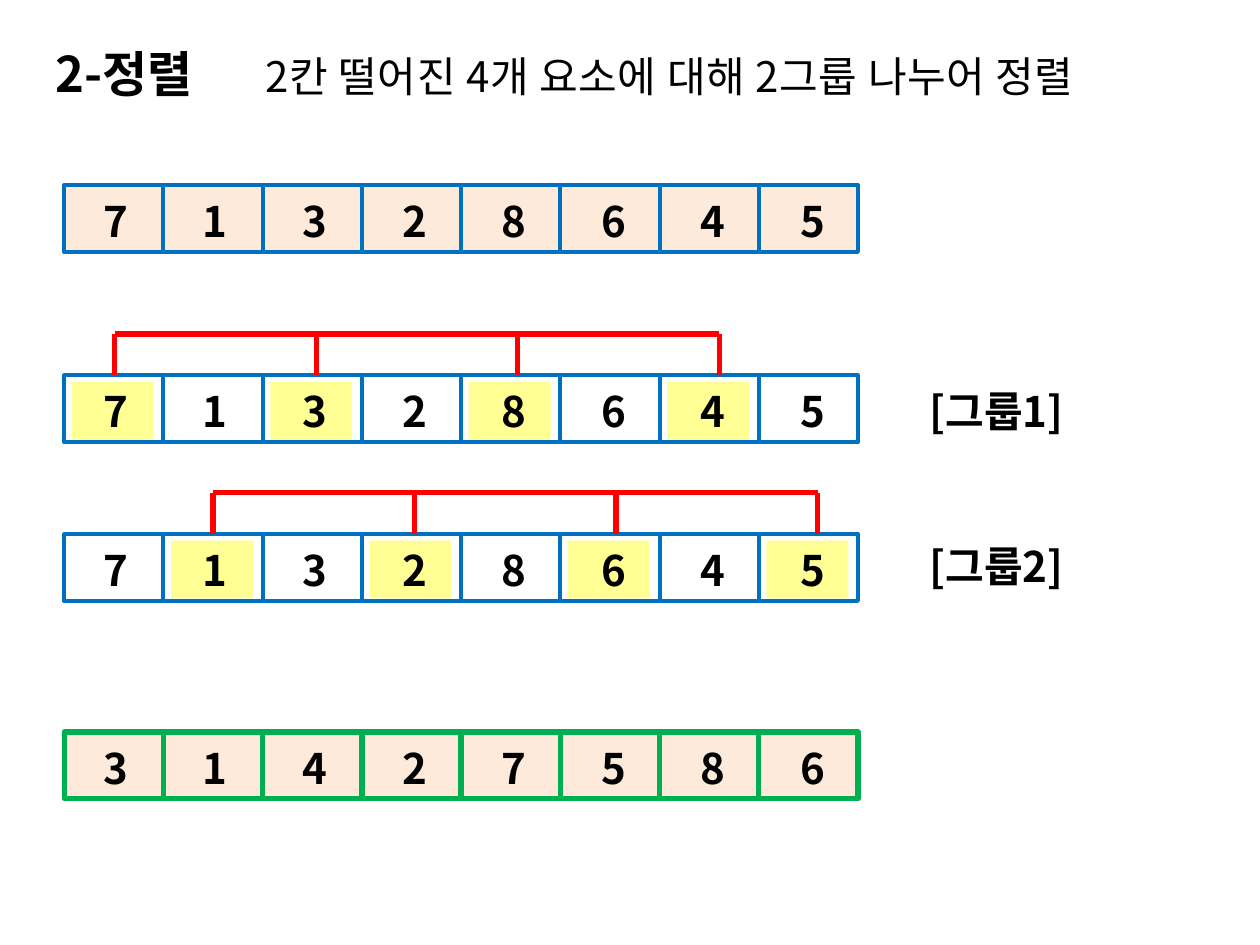
from pptx import Presentation, util as u
from pptx.dml.color import RGBColor
from pptx.enum import shapes, text
from pptx.oxml.ns import qn
from lxml import etree

FONT = "Noto Sans CJK KR"
BLACK = RGBColor(0, 0, 0)
PEACH = RGBColor(0xFD, 0xEA, 0xDA)
BLUE = RGBColor(0x00, 0x70, 0xC0)
GREEN = RGBColor(0x00, 0xB0, 0x50)
YELLOW = RGBColor(0xFF, 0xFF, 0x00)
RED = RGBColor(0xFF, 0, 0)

LEFT, COL, ROW = 0.51, 0.7875, 0.53  # grid of number cells, inches
STEP = 2  # distance between members of a group
DATA = "71328645"
DONE = "31427586"


def box(*nums):
    """Turn inches into lengths."""
    return [u.Inches(n) for n in nums]


def write(shape, words, size=24, bold=True, align=text.PP_ALIGN.LEFT,
          anchor=text.MSO_ANCHOR.MIDDLE, wrap=False, space=0):
    """Fill a text shape with one styled line."""
    frame = shape.text_frame
    look = dict(word_wrap=wrap, auto_size=text.MSO_AUTO_SIZE.NONE,
                vertical_anchor=anchor,
                margin_left=u.Inches(0.1), margin_right=u.Inches(0.1),
                margin_top=u.Inches(0.05), margin_bottom=u.Inches(0.05))
    for key, val in look.items():
        setattr(frame, key, val)
    par = frame.paragraphs[0]
    par.alignment = align
    run = par.add_run()
    run.text = words
    for key, val in dict(size=u.Pt(size), bold=bold, name=FONT).items():
        setattr(run.font, key, val)
    run.font.color.rgb = BLACK
    if space:
        run.font._element.set("spc", str(space))
    etree.SubElement(run.font._element, qn("a:ea")).set("typeface", FONT)
    return par


def label(slide, at, words, **look):
    """Add a text box and return its paragraph."""
    return write(slide.shapes.add_textbox(*box(*at)), words, **look)


def block(slide, at, fill=None, line=None, width=2.25):
    """Add a rectangle with optional fill and outline."""
    rect = slide.shapes.add_shape(shapes.MSO_SHAPE.RECTANGLE, *box(*at))
    rect.shadow.inherit = False
    if fill is None:
        rect.fill.background()
    else:
        rect.fill.solid()
        rect.fill.fore_color.rgb = fill
    if line is None:
        rect.line.fill.background()
    else:
        rect.line.color.rgb = line
        rect.line.width = u.Pt(width)
    return rect


def array(slide, top, nums, fill=None, line=BLUE, width=2.25):
    """Draw a row of cells with one number in each."""
    for i in range(len(nums)):
        block(slide, (LEFT + i * COL, top, COL, ROW), fill, line, width)
    for i, num in enumerate(nums):
        label(slide, (LEFT + 0.21 + i * 0.79, top + 0.03, 0.4, 0.5), num,
              align=text.PP_ALIGN.CENTER)


def marks(slide, top, first):
    """Lay a clear yellow mark on each member of a group."""
    for i in range(first, len(DATA), STEP):
        at = (LEFT + 0.06 + i * COL, top + 0.05, 0.65, 0.46)
        rect = block(slide, at, YELLOW)
        tint = rect.fill._xPr.find(".//" + qn("a:srgbClr"))
        etree.SubElement(tint, qn("a:alpha")).set("val", "42000")


def stroke(slide, *ends):
    """Draw one red line."""
    line = slide.shapes.add_connector(
        shapes.MSO_CONNECTOR.STRAIGHT, *box(*ends))
    line.line.color.rgb = RED
    line.line.width = u.Pt(3)
    etree.SubElement(line._element.spPr, qn("a:effectLst"))


def links(slide, top, first):
    """Join the members of a group with brackets above the row."""
    gap, high = 1.6, top - 0.33
    count = len(DATA) // STEP
    for i in range(count):
        x = LEFT + 0.4 + first * 0.78 + i * gap
        stroke(slide, x, high, x, top)
        if i < count - 1:
            stroke(slide, x, high, x + gap, high)


def group(slide, top, first, name, side):
    """Draw one group: marks, row, brackets and name."""
    marks(slide, top, first)
    array(slide, top, DATA)
    links(slide, top, first)
    par = label(slide, (7.28, side, 1.31, 0.5), name,
                anchor=text.MSO_ANCHOR.TOP, wrap=True)
    par.line_spacing = u.Pt(29)


def head(slide):
    """Place the title and the line that explains it."""
    title = slide.shapes.title
    spot = box(0.34, 0.29, 1.38, 0.57)
    for key, val in zip(("left", "top", "width", "height"), spot):
        setattr(title, key, val)
    write(title, "2-정렬", size=28)
    label(slide, (2.01, 0.35, 7.44, 0.5),
          "2칸 떨어진 4개 요소에 대해 2그룹 나누어 정렬",
          bold=False, wrap=True, space=35)


def main():
    """Build the slide and save it."""
    deck = Presentation()
    deck.slide_width, deck.slide_height = box(10, 7.5)
    slide = deck.slides.add_slide(deck.slide_layouts[5])
    head(slide)
    array(slide, 1.47, DATA, PEACH)
    group(slide, 2.98, 0, "[그룹1]", 3.01)
    group(slide, 4.24, 1, "[그룹2]", 4.24)
    array(slide, 5.81, DONE, PEACH, GREEN, 3)
    deck.save("out.pptx")


main()
